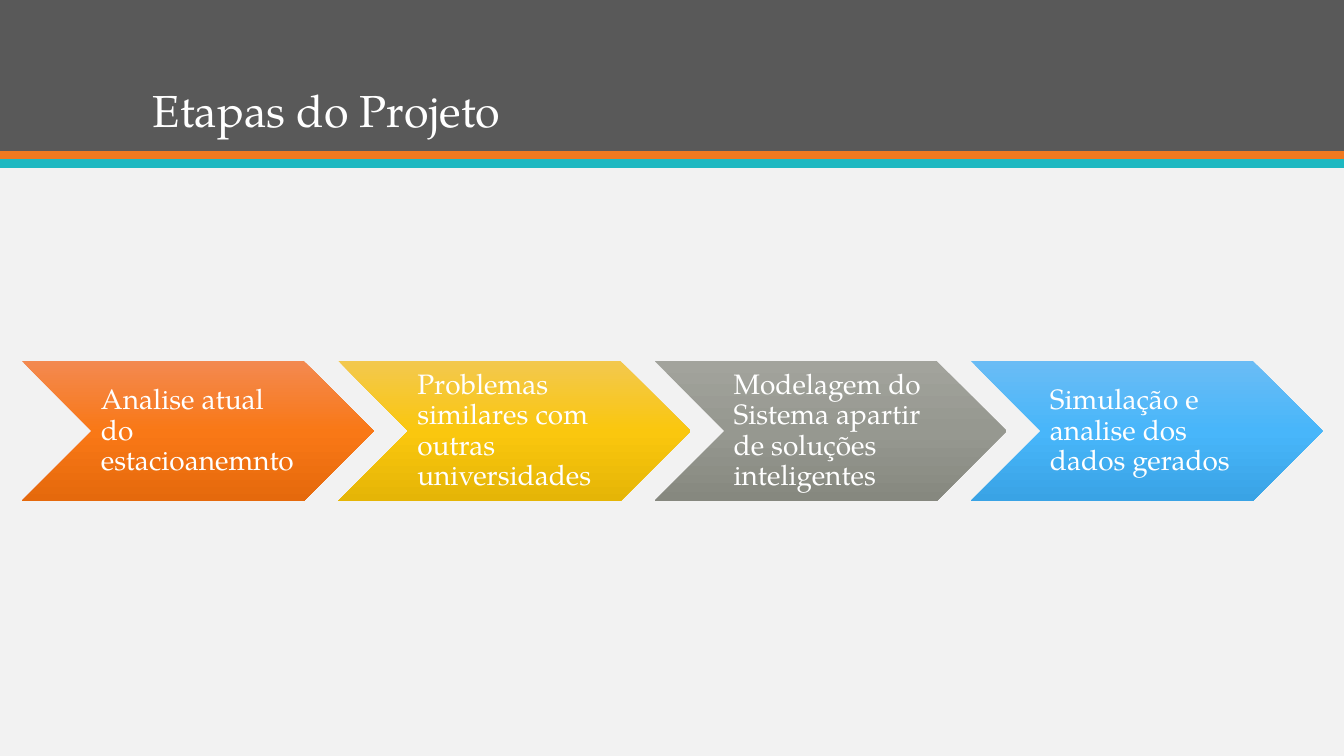
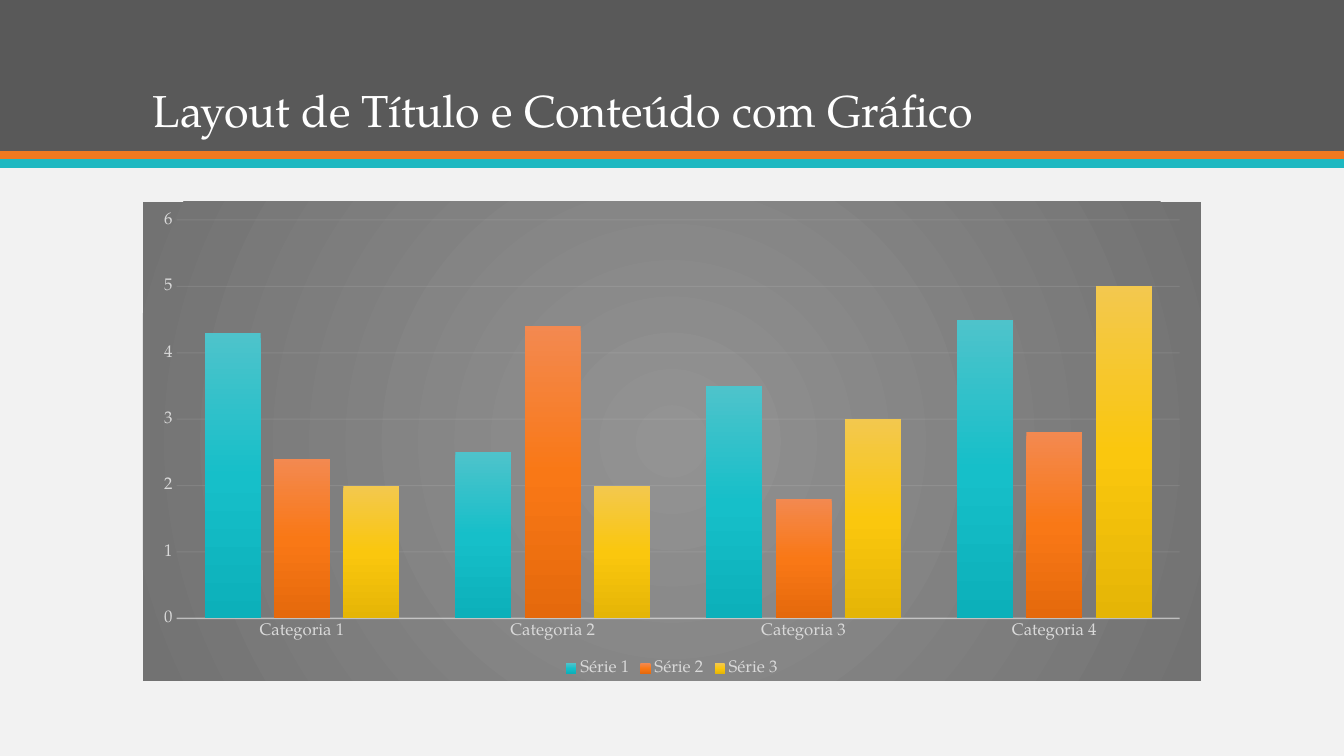
import pptx
import pptx.util
import pptx.oxml
import pptx.oxml.ns
import pptx.dml.color
import pptx.chart.data
import pptx.enum.chart
import pptx.enum.shapes
import pptx.enum.text
from dataclasses import dataclass
from lxml import etree

SCALE = 914400 / 100.8  # EMU per pixel
PAGE_WIDTH, PAGE_HEIGHT = 1344, 756


@dataclass(frozen=True)
class Theme:
    font: str = "TeX Gyre Pagella"
    page: str = "F2F2F2"
    header: str = "595959"
    stripes: tuple = ("EF7920", "1EB8C1")
    text: str = "FFFFFF"
    chart_text: str = "D9D9D9"
    teal: tuple = ("4EC3CB", "16BFC9", "0CB0BA")
    orange: tuple = ("F38950", "F97816", "E5690C")
    yellow: tuple = ("F3C84E", "FAC70E", "E5B506")
    gray: tuple = ("A2A39C", "969890", "86887F")
    blue: tuple = ("6ABCF5", "48B6FA", "39A3E5")
    chart_back: tuple = ("939393", "727272")
    title_size: int = 32
    step_size: int = 20
    chart_size: int = 12


THEME = Theme()


# Shared helpers
def emu(*pixels):
    return [pptx.util.Emu(round(pixel * SCALE)) for pixel in pixels]


def rgb(color):
    return pptx.dml.color.RGBColor.from_string(color)


def set_values(target, values):
    for name, value in values.items():
        setattr(target, name, value)


def set_font(font, size, color):
    set_values(font, {"name": THEME.font, "size": pptx.util.Pt(size)})
    font.color.rgb = rgb(color)


def fill_gradient(fill, properties, colors, radial=False):
    """Replace the solid fill of a properties element by evenly spaced stops."""
    fill.solid()
    stops = "".join(
        f'<a:gs pos="{100000 * index // (len(colors) - 1)}"><a:srgbClr val="{color}"/></a:gs>'
        for index, color in enumerate(colors))
    direction = '<a:lin ang="5400000" scaled="0"/>'
    if radial:
        direction = ('<a:path path="circle"><a:fillToRect l="50000" t="50000" '
                     'r="50000" b="50000"/></a:path>')
    gradient = pptx.oxml.parse_xml(
        f'<a:gradFill {pptx.oxml.ns.nsdecls("a")} rotWithShape="1">'
        f'<a:gsLst>{stops}</a:gsLst>{direction}</a:gradFill>')
    solid = properties.find(pptx.oxml.ns.qn("a:solidFill"))
    properties.replace(solid, gradient)


def set_line(line, width, opacity):
    line.width = pptx.util.Pt(width)
    line.color.rgb = rgb(THEME.page)
    color = line._ln.find(".//" + pptx.oxml.ns.qn("a:srgbClr"))
    etree.SubElement(color, pptx.oxml.ns.qn("a:alpha"), val=str(opacity * 1000))


def add_plain_shape(page, kind, box):
    shape = page.shapes.add_shape(kind, *emu(*box))
    shape.shadow.inherit = False
    shape.line.fill.background()
    return shape


def write_text(shape, text, size, anchor, insets):
    frame = shape.text_frame
    left, top, right, bottom = emu(*insets)
    set_values(frame, {"word_wrap": True, "vertical_anchor": anchor,
                       "margin_left": left, "margin_top": top,
                       "margin_right": right, "margin_bottom": bottom})
    para = frame.paragraphs[0]
    set_values(para, {"line_spacing": 0.9, "alignment": pptx.enum.text.PP_ALIGN.LEFT})
    span = para.add_run()
    span.text = text
    set_font(span.font, size, THEME.text)


# Page with header band, two stripes and title
def add_page(deck, title):
    page = deck.slides.add_slide(deck.slide_layouts[6])
    page.background.fill.solid()
    page.background.fill.fore_color.rgb = rgb(THEME.page)
    bands = ((0, 151, THEME.header), (151, 9, THEME.stripes[0]), (159, 9, THEME.stripes[1]))
    for top, height, color in bands:
        band = add_plain_shape(page, pptx.enum.shapes.MSO_SHAPE.RECTANGLE,
                               (0, top, PAGE_WIDTH, height))
        band.fill.solid()
        band.fill.fore_color.rgb = rgb(color)
    heading = page.shapes.add_textbox(*emu(143, 28, 1058, 114))
    write_text(heading, title, THEME.title_size,
               pptx.enum.text.MSO_ANCHOR.BOTTOM, (10, 5, 10, 5))
    return page


# Row of chevrons, each overlapping the notch of the next
def add_steps(page, box, steps):
    left, top, width, height = box
    step_width = 352
    pitch = (width - step_width) / (len(steps) - 1)
    for index, (text, colors) in enumerate(steps):
        step = add_plain_shape(page, pptx.enum.shapes.MSO_SHAPE.CHEVRON,
                               (left + index * pitch, top, step_width, height))
        fill_gradient(step.fill, step._element.spPr, colors)
        write_text(step, text, THEME.step_size,
                   pptx.enum.text.MSO_ANCHOR.MIDDLE, (9, 3, 3, 3))


# Clustered columns on a radial background
def add_column_chart(page, box, categories, series_list):
    data = pptx.chart.data.CategoryChartData()
    data.categories = categories
    for name, values, _ in series_list:
        data.add_series(name, values)
    chart = page.shapes.add_chart(
        pptx.enum.chart.XL_CHART_TYPE.COLUMN_CLUSTERED, *emu(*box), data).chart
    set_values(chart, {"has_title": False, "has_legend": True})
    set_font(chart.font, THEME.chart_size, THEME.chart_text)
    set_values(chart.legend, {"position": pptx.enum.chart.XL_LEGEND_POSITION.BOTTOM,
                              "include_in_layout": False})

    # Axes
    for axis in (chart.category_axis, chart.value_axis):
        set_values(axis, {"major_tick_mark": pptx.enum.chart.XL_TICK_MARK.NONE,
                          "minor_tick_mark": pptx.enum.chart.XL_TICK_MARK.NONE})
    set_line(chart.category_axis.format.line, 1, 54)
    set_values(chart.value_axis, {"minimum_scale": 0, "maximum_scale": 6, "major_unit": 1})
    chart.value_axis.format.line.fill.background()
    set_line(chart.value_axis.major_gridlines.format.line, 0.75, 10)

    # Columns
    plot = chart.plots[0]
    set_values(plot, {"gap_width": 100, "overlap": -24, "vary_by_categories": False})
    for series, (_, _, colors) in zip(plot.series, series_list):
        fill_gradient(series.format.fill, series._element.spPr, colors)

    # Background
    properties = pptx.oxml.parse_xml(f'<c:spPr {pptx.oxml.ns.nsdecls("c", "a")}>'
                                     '<a:solidFill/><a:ln><a:noFill/></a:ln></c:spPr>')
    chart._chartSpace.find(pptx.oxml.ns.qn("c:txPr")).addprevious(properties)
    fill = pptx.dml.fill.FillFormat.from_fill_parent(properties)
    fill_gradient(fill, properties, THEME.chart_back, radial=True)


def build_steps_page(deck):
    page = add_page(deck, "Etapas do Projeto")
    add_steps(page, (22, 361, 1301, 140), (
        ("Analise atual do estacioanemnto", THEME.orange),
        ("Problemas similares com outras universidades", THEME.yellow),
        ("Modelagem do Sistema apartir de soluções inteligentes", THEME.gray),
        ("Simulação e analise dos dados gerados", THEME.blue)))


def build_chart_page(deck):
    page = add_page(deck, "Layout de Título e Conteúdo com Gráfico")
    add_column_chart(
        page, (143, 202, 1058, 479),
        [f"Categoria {number}" for number in range(1, 5)],
        (("Série 1", (4.3, 2.5, 3.5, 4.5), THEME.teal),
         ("Série 2", (2.4, 4.4, 1.8, 2.8), THEME.orange),
         ("Série 3", (2, 2, 3, 5), THEME.yellow)))


deck = pptx.Presentation()
deck.slide_width, deck.slide_height = emu(PAGE_WIDTH, PAGE_HEIGHT)
build_steps_page(deck)
build_chart_page(deck)
deck.save("out.pptx")
